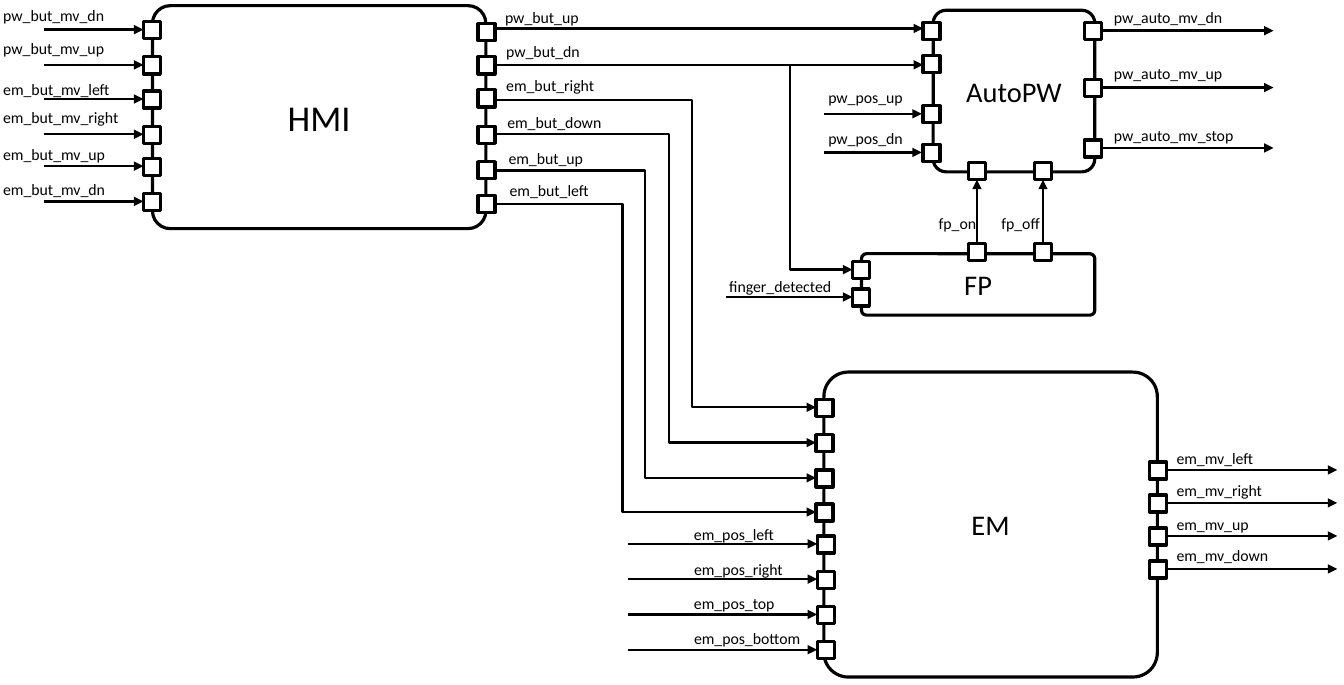
from pptx import Presentation
from pptx.dml.color import RGBColor
from pptx.enum.shapes import MSO_CONNECTOR as CONN, MSO_SHAPE as SHAPE
from pptx.enum.text import MSO_ANCHOR as ANCHOR, MSO_AUTO_SIZE as FIT, PP_ALIGN as ALIGN
from pptx.oxml.ns import qn
from pptx.util import Inches, Pt
from lxml.etree import SubElement

COLORS = {"ink": "000000", "paper": "FFFFFF"}
FONT = "Calibri"
PORT = 0.15
MID = 0.07  # from the top of a port to its wire

# Rows: name, port top, label top, label width
HMI_IN = [
    ("pw_but_mv_dn", 0.19, 0, 1.12),
    ("pw_but_mv_up", 0.5, 0.29, 1.12),
    ("em_but_mv_left", 0.8, 0.65, 1.18),
    ("em_but_mv_right", 1.11, 0.9, 1.26),
    ("em_but_mv_up", 1.39, 1.22, 1.13),
    ("em_but_mv_dn", 1.7, 1.53, 1.13),
]
AUTO_IN = [("pw_pos_up", 0.93, 0.72, 0.87), ("pw_pos_dn", 1.27, 1.08, 0.87)]
AUTO_OUT = [
    ("pw_auto_mv_dn", 0.2, 0.02, 1.17),
    ("pw_auto_mv_up", 0.7, 0.51, 1.17),
    ("pw_auto_mv_stop", 1.23, 1.06, 1.27),
]
FP_IN = [("finger_detected", 2.54, 2.38, 1.14)]
EM_IN = [
    ("em_pos_left", 4.71, 4.56, 0.93),
    ("em_pos_right", 5.02, 4.87, 1.01),
    ("em_pos_top", 5.33, 5.17, 0.94),
    ("em_pos_bottom", 5.64, 5.48, 1.18),
]
EM_OUT = [
    ("em_mv_left", 4.06, 3.89, 0.91),
    ("em_mv_right", 4.35, 4.18, 0.99),
    ("em_mv_up", 4.64, 4.47, 0.86),
    ("em_mv_down", 4.93, 4.75, 1.04),
]
# Name, port top, label left, label top, label width, wire y
HMI_TO_AUTO = [
    ("pw_but_up", 0.21, 4.34, 0.02, 0.86, 0.25),
    ("pw_but_dn", 0.5, 4.35, 0.32, 0.86, 0.57),
]
# The same, then the x of the bend and the y of the wire's end
HMI_TO_EM = [
    ("em_but_right", 0.79, 4.35, 0.62, 1.01, 0.88, 6.08, 3.58),
    ("em_but_down", 1.11, 4.36, 0.94, 1.06, 1.18, 5.88, 3.89),
    ("em_but_up", 1.42, 4.37, 1.26, 0.88, 1.5, 5.67, 4.2),
    ("em_but_left", 1.72, 4.38, 1.54, 0.93, 1.79, 5.47, 4.5),
]


def rgb(name):
    """Return a named colour."""
    return RGBColor.from_string(COLORS[name])


def set_font(p, size):
    """Format a whole paragraph."""
    p.font.name, p.font.size = FONT, Pt(size)
    p.font.color.rgb = rgb("ink")


def outlined(s, kind, x, y, w, h):
    """Add a white shape with a black outline."""
    sp = s.shapes.add_shape(kind, Inches(x), Inches(y), Inches(w), Inches(h))
    sp.shadow.inherit = False
    sp.fill.solid()
    sp.fill.fore_color.rgb = rgb("paper")
    sp.line.color.rgb = rgb("ink")
    sp.line.width = Pt(2)
    return sp


def block(s, name, x, y, w, h, size=18):
    """Add a named component."""
    sp = outlined(s, SHAPE.ROUNDED_RECTANGLE, x, y, w, h)
    sp.adjustments[0] = 0.08
    tf = sp.text_frame
    tf.vertical_anchor = ANCHOR.MIDDLE
    p = tf.paragraphs[0]
    p.text, p.alignment = name, ALIGN.CENTER
    set_font(p, size)


def port(s, x, y):
    """Add a small square port."""
    outlined(s, SHAPE.RECTANGLE, x, y, PORT, PORT)


def label(s, text, x, y, w, wrap=False):
    """Add a signal name."""
    tb = s.shapes.add_textbox(Inches(x), Inches(y), Inches(w), Inches(0.27))
    tf = tb.text_frame
    tf.word_wrap, tf.auto_size = wrap, FIT.SHAPE_TO_FIT_TEXT
    p = tf.paragraphs[0]
    p.text = text
    set_font(p, 10)


def wire(s, x1, y1, x2, y2, bend=None):
    """Add an arrow, straight or with its vertical part at x = bend."""
    kind = CONN.STRAIGHT if bend is None else CONN.ELBOW
    c = s.shapes.add_connector(kind, Inches(x1), Inches(y1), Inches(x2), Inches(y2))
    c.line.color.rgb = rgb("ink")
    c.line.width = Pt(1.5)
    pr = c.element.spPr
    SubElement(pr.find(qn("a:ln")), qn("a:tailEnd"), type="triangle")
    SubElement(pr, qn("a:effectLst"))
    if bend is not None:
        share = round((bend - x1) / (x2 - x1) * 100000)
        guides = pr.find(qn("a:prstGeom")).find(qn("a:avLst"))
        SubElement(guides, qn("a:gd"), name="adj1", fmla=f"val {share}")


def signals(s, port_x, x1, x2, label_x, rows):
    """Add one port, arrow and label for each row."""
    for name, top, label_top, w in rows:
        port(s, port_x, top)
        wire(s, x1, top + MID, x2, top + MID)
        label(s, name, label_x, label_top, w)


def hmi_outputs(s):
    """Add the signals from HMI to the other components."""
    for name, top, x, y, w, wire_y in HMI_TO_AUTO:
        port(s, 4.2, top)
        wire(s, 4.34, wire_y, 8.11, wire_y)
        label(s, name, x, y, w)
    for top in (0.2, 0.49):
        port(s, 8.11, top)
    for name, top, x, y, w, wire_y, bend, end_y in HMI_TO_EM:
        port(s, 4.2, top)
        port(s, 7.17, end_y - MID)
        wire(s, 4.34, wire_y, 7.17, end_y, bend)
        label(s, name, x, y, w)
    port(s, 7.49, 2.3)
    wire(s, 6.94, 0.57, 7.49, 2.37, bend=6.94)


def fp_outputs(s):
    """Add the signals from FP up to AutoPW."""
    for name, x, label_x in (("fp_on", 8.51, 8.15), ("fp_off", 9.09, 8.7)):
        for top in (1.43, 2.14):
            port(s, x, top)
        wire(s, x + PORT / 2, 2.14, x + PORT / 2, 1.58)
        label(s, name, label_x, 1.83, 0.55, wrap=True)


def main():
    """Build the component diagram."""
    prs = Presentation()
    prs.slide_width, prs.slide_height = Inches(11.81), Inches(6.02)
    s = prs.slides.add_slide(prs.slide_layouts[6])
    block(s, "HMI", 1.34, 0.05, 2.93, 1.96, size=23)
    block(s, "AutoPW", 8.2, 0.09, 1.42, 1.42)
    block(s, "FP", 7.57, 2.23, 2.05, 0.54)
    block(s, "EM", 7.24, 3.27, 2.93, 2.68)
    signals(s, 1.26, 0.39, 1.26, -0.07, HMI_IN)
    signals(s, 8.11, 7.24, 8.1, 7.18, AUTO_IN)
    signals(s, 9.53, 9.69, 11.19, 9.69, AUTO_OUT)
    signals(s, 7.49, 6.38, 7.49, 6.31, FP_IN)
    signals(s, 7.18, 5.52, 7.18, 6, EM_IN)
    signals(s, 10.1, 10.26, 11.75, 10.24, EM_OUT)
    hmi_outputs(s)
    fp_outputs(s)
    prs.save("out.pptx")


main()
